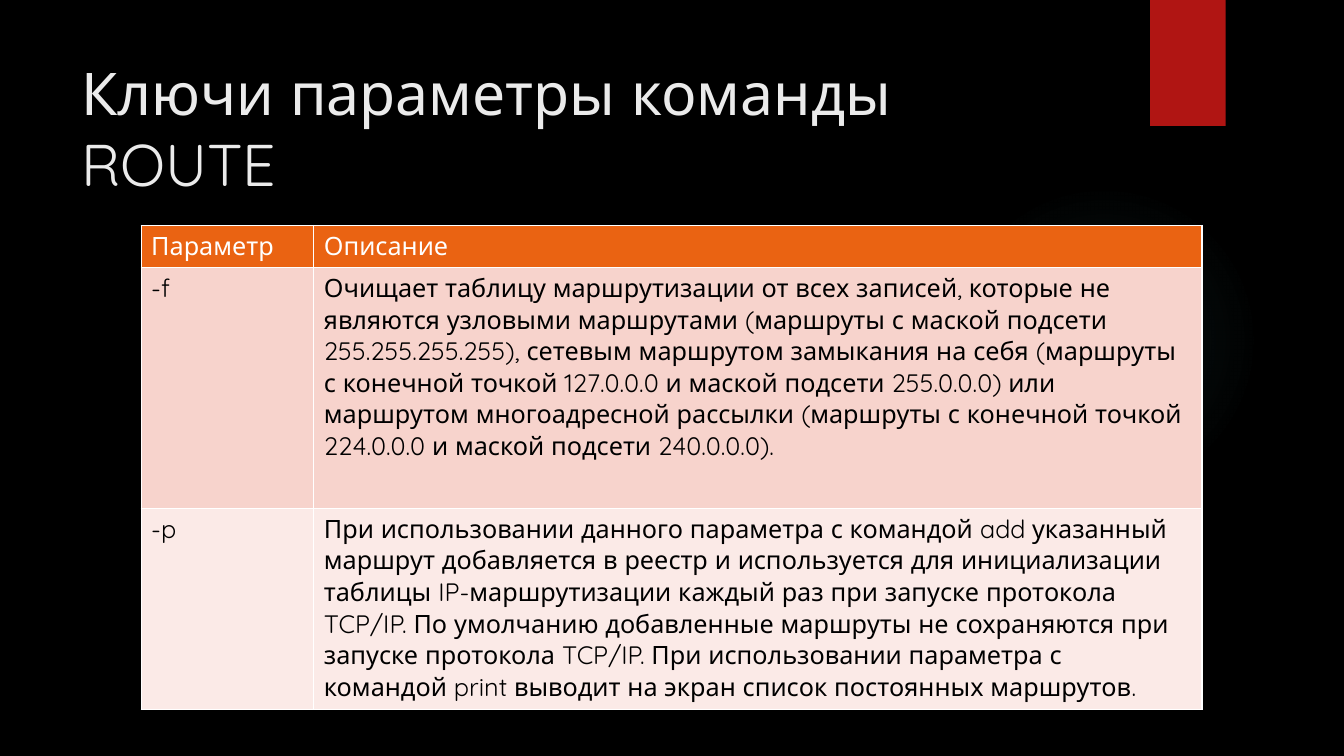
from dataclasses import dataclass

from lxml import etree
from pptx import Presentation
from pptx.dml.color import RGBColor
from pptx.enum.shapes import MSO_SHAPE
from pptx.enum.text import MSO_ANCHOR
from pptx.oxml.ns import qn
from pptx.util import Pt

RECT, OVAL = MSO_SHAPE.RECTANGLE, MSO_SHAPE.OVAL
MIDDLE = MSO_ANCHOR.MIDDLE

TITLE = "Ключи параметры команды ROUTE"
ROWS = [
    ("Параметр", "Описание"),
    ("-f", "Очищает таблицу маршрутизации от всех записей, которые не являются "
           "узловыми маршрутами (маршруты с маской подсети 255.255.255.255), "
           "сетевым маршрутом замыкания на себя (маршруты с конечной точкой "
           "127.0.0.0 и маской подсети 255.0.0.0) или маршрутом многоадресной "
           "рассылки (маршруты с конечной точкой 224.0.0.0 и маской подсети "
           "240.0.0.0)."),
    ("-p", "При использовании данного параметра с командой add указанный маршрут "
           "добавляется в реестр и используется для инициализации таблицы "
           "IP-маршрутизации каждый раз при запуске протокола TCP/IP. По умолчанию "
           "добавленные маршруты не сохраняются при запуске протокола TCP/IP. При "
           "использовании параметра с командой print выводит на экран список "
           "постоянных маршрутов."),
]
COL_WIDTHS = (123.4, 634.4)
ROW_HEIGHTS = (30, 172, 143.6)
TABLE_LEFT, TABLE_TOP = 100.8, 161
TITLE_BOX = (51.12, 36, 740.88, 110.16)
GLOW_BOX = (677.5, 131.8, 221.8, 221.8)
RIBBON_BOX = (821.5, 0, 54, 90)
GLOW_STOPS = ((0, 7), (36, 6), (69, 0))


@dataclass(frozen=True)
class Theme:
    font: str = "Quicksand"
    title_size: float = 42
    cell_size: float = 18
    border_width: float = 1
    background: str = "000000"
    title: str = "EBEBEB"
    ribbon: str = "B01513"
    glow: str = "50B9C1"
    border: str = "FFFFFF"
    row_fills: tuple = ("EA6312", "F7D3CC", "FBEAE7")
    row_texts: tuple = ("FFFFFF", "000000", "000000")


THEME = Theme()


def rgb(color):
    return RGBColor.from_string(color)


def add_text(tf, text, size, color):
    r = tf.paragraphs[0].add_run()
    r.text = text
    r.font.name = THEME.font
    r.font.size = Pt(size)
    r.font.color.rgb = rgb(color)


def add_plain_shape(s, kind, box):
    sp = s.shapes.add_shape(kind, *map(Pt, box))
    sp.shadow.inherit = False
    sp.line.fill.background()
    return sp


def add_glow(s):
    sp = add_plain_shape(s, OVAL, GLOW_BOX)
    sp.fill.background()
    grad = etree.Element(qn("a:gradFill"), rotWithShape="1")
    stops = etree.SubElement(grad, qn("a:gsLst"))
    for position, opacity in GLOW_STOPS:
        stop = etree.SubElement(stops, qn("a:gs"), pos=str(position * 1000))
        color = etree.SubElement(stop, qn("a:srgbClr"), val=THEME.glow)
        etree.SubElement(color, qn("a:alpha"), val=str(opacity * 1000))
    shade = etree.SubElement(grad, qn("a:path"), path="circle")
    etree.SubElement(shade, qn("a:fillToRect"), **dict.fromkeys("ltrb", "50000"))
    props = sp.element.spPr
    props.replace(props.find(qn("a:noFill")), grad)


def add_borders(cell):
    props = cell._tc.get_or_add_tcPr()
    for i, side in enumerate("LRTB"):
        line = etree.Element(qn(f"a:ln{side}"), w=str(Pt(THEME.border_width)))
        fill = etree.SubElement(line, qn("a:solidFill"))
        etree.SubElement(fill, qn("a:srgbClr"), val=THEME.border)
        props.insert(i, line)


def add_title(s):
    tf = s.shapes.add_textbox(*map(Pt, TITLE_BOX)).text_frame
    tf.word_wrap = True
    tf.vertical_anchor = MIDDLE
    add_text(tf, TITLE, THEME.title_size, THEME.title)


def add_parameters(s):
    box = (TABLE_LEFT, TABLE_TOP, sum(COL_WIDTHS), sum(ROW_HEIGHTS))
    table = s.shapes.add_table(len(ROWS), len(COL_WIDTHS), *map(Pt, box)).table
    for column, width in zip(table.columns, COL_WIDTHS):
        column.width = Pt(width)
    for i, texts in enumerate(ROWS):
        table.rows[i].height = Pt(ROW_HEIGHTS[i])
        for j, text in enumerate(texts):
            cell = table.cell(i, j)
            cell.fill.solid()
            cell.fill.fore_color.rgb = rgb(THEME.row_fills[i])
            add_borders(cell)
            add_text(cell.text_frame, text, THEME.cell_size, THEME.row_texts[i])


def main():
    prs = Presentation()
    prs.slide_width, prs.slide_height = Pt(960), Pt(540)
    s = prs.slides.add_slide(prs.slide_layouts[6])
    s.background.fill.solid()
    s.background.fill.fore_color.rgb = rgb(THEME.background)
    add_glow(s)
    ribbon = add_plain_shape(s, RECT, RIBBON_BOX)
    ribbon.fill.solid()
    ribbon.fill.fore_color.rgb = rgb(THEME.ribbon)
    add_title(s)
    add_parameters(s)
    prs.save("out.pptx")


if __name__ == "__main__":
    main()
